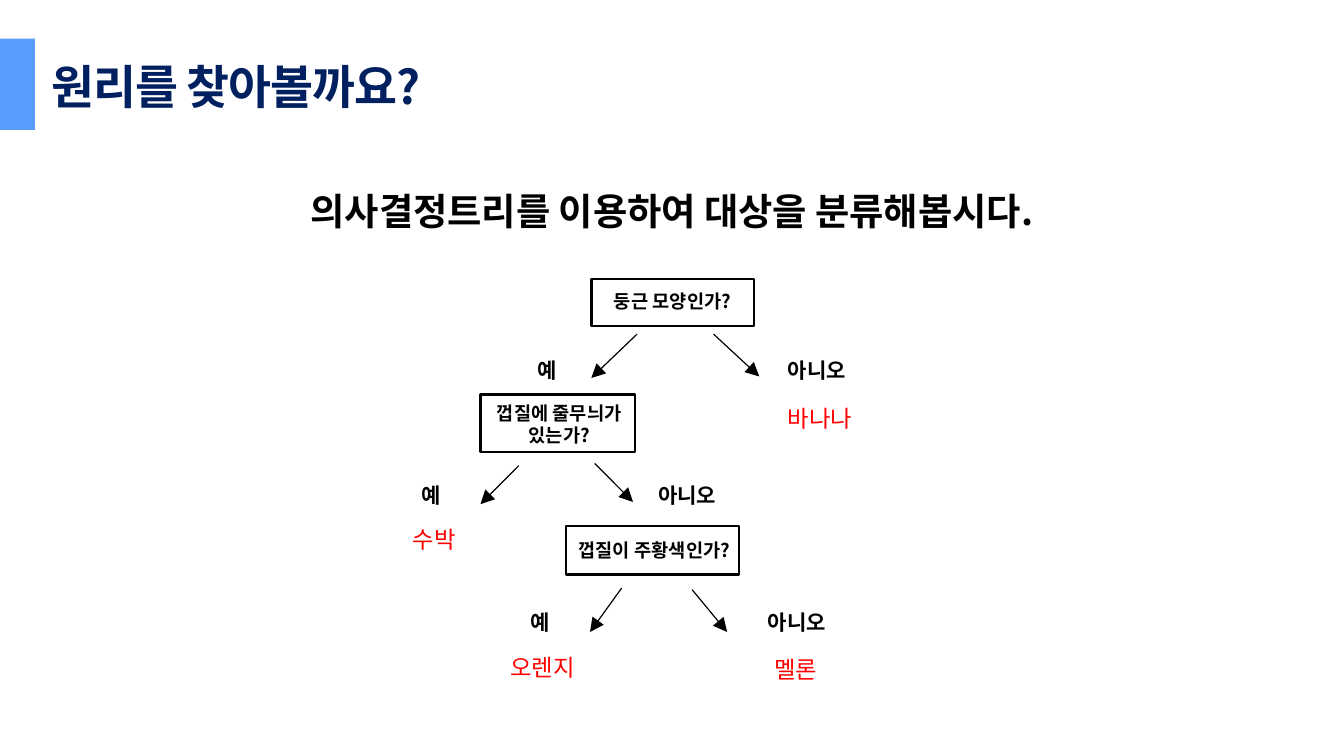
from lxml import etree
from pptx import Presentation, util as u
from pptx.dml.color import RGBColor
from pptx.enum import shapes as sh, text as tx
from pptx.oxml.ns import qn

FACE = "Noto Sans CJK KR"
deck = Presentation()
deck.slide_width, deck.slide_height = u.Inches(8), u.Inches(4.5)
# Grid of 100 columns by 100 rows
COL, ROW = deck.slide_width / 100, deck.slide_height / 100
page = deck.slides.add_slide(deck.slide_layouts[5])
draw = page.shapes
hue = RGBColor.from_string


def grid(*nums):
    """Turn column, row, column, row into lengths."""
    return [round(n * (ROW if i % 2 else COL)) for i, n in enumerate(nums)]


def write(box, words, size, ink, bold=True, align="LEFT", wrap=True, anchor="TOP"):
    """Fill a box with one paragraph per line of words."""
    frame = box.text_frame
    frame.text = words
    form = {"word_wrap": wrap, "auto_size": tx.MSO_AUTO_SIZE.SHAPE_TO_FIT_TEXT,
            "vertical_anchor": tx.MSO_ANCHOR[anchor]}
    for key, val in form.items():
        setattr(frame, key, val)
    for para in frame.paragraphs:
        para.alignment = tx.PP_ALIGN[align]
        for run in para.runs:
            for key, val in {"size": u.Pt(size), "bold": bold, "name": FACE}.items():
                setattr(run.font, key, val)
            run.font.color.rgb = hue(ink)
            east = etree.SubElement(run.font._element, qn("a:ea"))
            east.set("typeface", FACE)


# Title and side bar
head = draw.title
for key, val in zip(("left", "top", "width", "height"), grid(2.6, 6.4, 56.8, 9.8)):
    setattr(head, key, val)
write(head, "원리를 찾아볼까요?", 20, "002060", anchor="MIDDLE")
head.text_frame.paragraphs[0].runs[0].font._element.set("spc", "-50")

bar = draw.add_shape(sh.MSO_SHAPE.RECTANGLE, *grid(-2.9, 5.1, 5.5, 12.1))
bar.shadow.inherit = False
bar.fill.solid()
bar.fill.fore_color.rgb = hue("599DFD")
bar.line.fill.background()

# Lead sentence
lead = draw.add_textbox(*grid(21.75, 23.8, 56.5, 8.2))
write(lead, "의사결정트리를 이용하여 대상을 분류해봅시다.", 16, "000000",
      align="CENTER", wrap=False)

# Questions: frame, then caption
asks = [
    ("둥근 모양인가?", (44, 36.9, 12.1, 6.2), (41.75, 37.3, 16.6, 5.3)),
    ("껍질에 줄무늬가\n있는가?", (35.75, 52.2, 11.5, 7.6), (33.25, 52, 16.75, 8.2)),
    ("껍질이 주황색인가?", (42.1, 69.6, 12.9, 6.4), (40.4, 70.2, 16.6, 5.3)),
]
for words, edge, spot in asks:
    node = draw.add_shape(sh.MSO_SHAPE.RECTANGLE, *grid(*edge))
    node.shadow.inherit = False
    node.fill.background()
    node.line.color.rgb = hue("000000")
    node.line.width = u.Pt(1)
    write(draw.add_textbox(*grid(*spot)), words, 8, "000000", align="CENTER")

# Branches
paths = [
    (47.4, 44.2, 44, 50), (53.1, 44.2, 56.5, 49.8),
    (38.6, 61.6, 35.75, 66.7), (44.25, 61.3, 47.1, 66.4),
    (46.25, 77.8, 43.9, 83.6), (51.5, 78, 54.1, 83.6),
]
for ends in paths:
    limb = draw.add_connector(sh.MSO_CONNECTOR.STRAIGHT, *grid(*ends))
    limb.line.color.rgb = hue("000000")
    limb.line.width = u.Pt(0.5)
    tip = etree.SubElement(limb.line._get_or_add_ln(), qn("a:tailEnd"))
    tip.set("type", "triangle")
    etree.SubElement(limb._element.spPr, qn("a:effectLst"))

# Yes and no, one pair per level
for row, yes, no in [(46.2, 38.75, 57.4), (62.7, 30.1, 47.75), (79.6, 38.25, 55.9)]:
    for words, left, wide in [("예", yes, 4), ("아니오", no, 6.9)]:
        mark = draw.add_textbox(*grid(left, row, wide, 5.6))
        write(mark, words, 9, "000000", wrap=False)

# Fruits at the leaves
fruits = [("바나나", 57.4, 52.4, 7.6), ("수박", 29.5, 68.4, 5.8),
          ("오렌지", 36.75, 85.3, 7.4), ("멜론", 56.4, 85.6, 5.8)]
for words, left, row, wide in fruits:
    leaf = draw.add_textbox(*grid(left, row, wide, 6.1))
    write(leaf, words, 10, "FF0000", bold=False, wrap=False)

deck.save("out.pptx")
